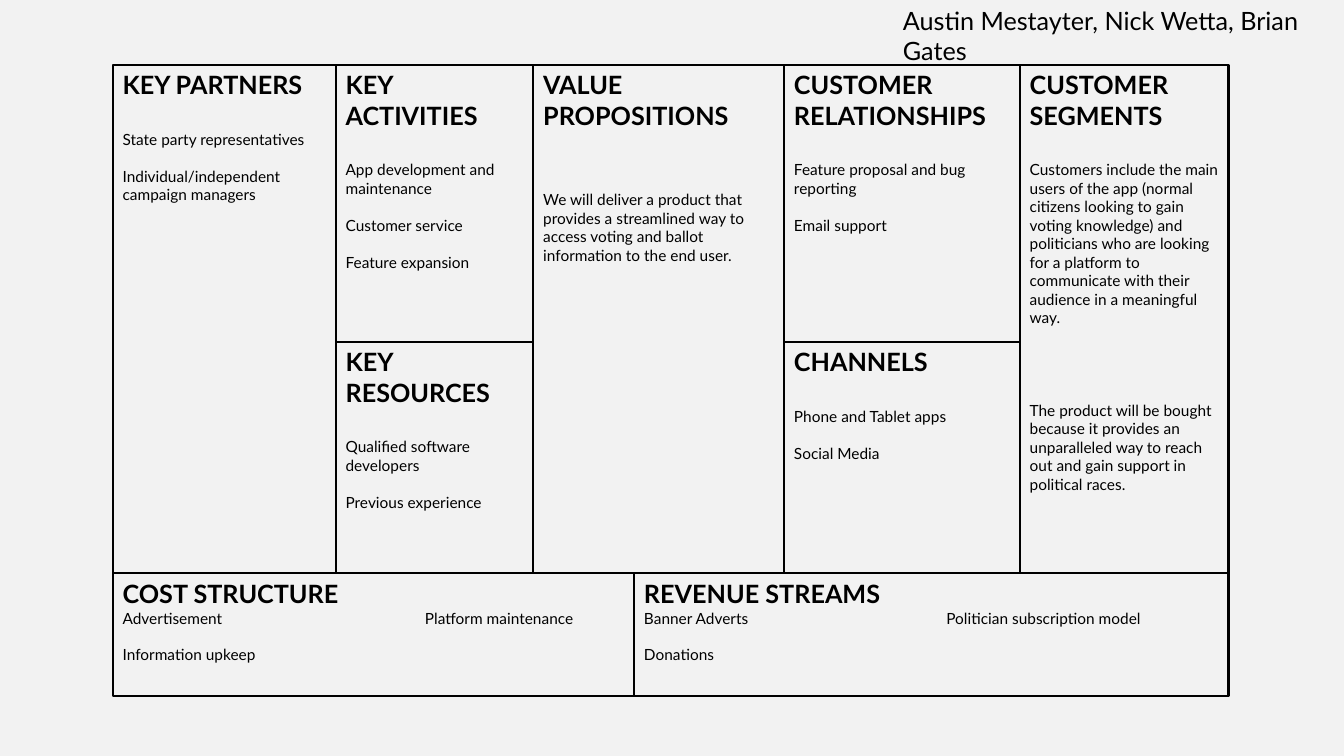
from lxml import etree
from pptx import Presentation
from pptx.dml.color import RGBColor
from pptx.enum.shapes import MSO_SHAPE
from pptx.enum.text import MSO_ANCHOR, MSO_AUTO_SIZE, PP_ALIGN
from pptx.oxml.ns import qn
from pptx.util import Cm, Pt

RECT = MSO_SHAPE.RECTANGLE
TOP = MSO_ANCHOR.TOP
LEFT = PP_ALIGN.LEFT
FIXED = MSO_AUTO_SIZE.NONE

FONT = "Lato"
COLORS = {"back": "F2F2F2", "ink": "000000"}
HEAD, BODY = 18, 11
ROW, LINE = HEAD * 1.2, BODY * 1.2  # heights of one heading and one body line

# Grid edges in cm
COLS = [2.84, 8.46, 13.44, 19.76, 25.7, 30.96]
TIERS = [1.63, 8.61, 14.45, 17.53]
SPLIT = 15.98


def color(name):
    return RGBColor.from_string(COLORS[name])


def style(para, size, bold=False, gap=0):
    para.alignment = LEFT
    para.line_spacing = 1.0
    para.space_before = Pt(gap)
    para.space_after = Pt(0)
    font = para.font
    font.name, font.size, font.bold = FONT, Pt(size), bold
    font.color.rgb = color("ink")


def set_tab(para, pos):
    props = para._p.get_or_add_pPr()
    tabs = etree.SubElement(props, qn("a:tabLst"))
    etree.SubElement(tabs, qn("a:tab"), pos=str(pos), algn="l")
    rest = props.find(qn("a:defRPr"))
    if rest is not None:
        rest.addprevious(tabs)


def add_names(slide, box, text):
    title = slide.shapes.title
    title.left, title.top, title.width, title.height = map(Cm, box)
    frame = title.text_frame
    frame.word_wrap, frame.auto_size = True, FIXED
    frame.vertical_anchor = TOP
    frame.text = text
    style(frame.paragraphs[0], HEAD)


def add_cell(slide, box, head, items, lead=ROW, gap=LINE):
    """Draw a framed cell: heading lines, then items set apart by gap."""
    cell = slide.shapes.add_shape(RECT, *map(Cm, box))
    cell.shadow.inherit = False
    cell.fill.background()
    cell.line.color.rgb = color("ink")
    cell.line.width = Pt(1.5)
    frame = cell.text_frame
    frame.word_wrap = True
    frame.vertical_anchor = TOP
    frame.text = "\n".join(head + items)
    for i, para in enumerate(frame.paragraphs):
        spot = i - len(head)
        if spot < 0:
            style(para, HEAD, bold=True)
        else:
            style(para, BODY, gap=gap if spot else lead)
        if "\t" in para.text:
            set_tab(para, Cm(7.62))


def span(left, right, top, low):
    return left, TIERS[top], right - left, TIERS[low] - TIERS[top]


def add_canvas(slide):
    def col(i, top, low):
        return span(COLS[i], COLS[i + 1], top, low)

    # Upper columns
    add_cell(slide, col(0, 0, 2), ["KEY PARTNERS"], [
        "State party representatives",
        "Individual/independent campaign managers"])
    add_cell(slide, col(1, 0, 1), ["KEY ACTIVITIES"], [
        "App development and maintenance", "Customer service",
        "Feature expansion"])
    add_cell(slide, col(1, 1, 2), ["KEY RESOURCES"], [
        "Qualified software developers", "Previous experience"])
    add_cell(slide, col(2, 0, 2), ["VALUE PROPOSITIONS"], [
        "We will deliver a product that provides a streamlined way to "
        "access voting and ballot information to the end user."],
        lead=2 * ROW)
    add_cell(slide, col(3, 0, 1), ["CUSTOMER", "RELATIONSHIPS"], [
        "Feature proposal and bug reporting", "Email support"])
    add_cell(slide, col(3, 1, 2), ["CHANNELS"], [
        "Phone and Tablet apps", "Social Media"])
    add_cell(slide, col(4, 0, 2), ["CUSTOMER", "SEGMENTS"], [
        "Customers include the main users of the app (normal citizens "
        "looking to gain voting knowledge) and politicians who are looking "
        "for a platform to communicate with their audience in a meaningful "
        "way.",
        "The product will be bought because it provides an unparalleled way "
        "to reach out and gain support in political races."],
        gap=4 * LINE)
    # Bottom row
    add_cell(slide, span(COLS[0], SPLIT, 2, 3), ["COST STRUCTURE"], [
        "Advertisement\tPlatform maintenance", "Information upkeep"], lead=0)
    add_cell(slide, span(SPLIT, COLS[-1], 2, 3), ["REVENUE STREAMS"], [
        "Banner Adverts\tPolitician subscription model", "Donations"], lead=0)


deck = Presentation()
deck.slide_width, deck.slide_height = Cm(33.87), Cm(19.05)
page = deck.slides.add_slide(deck.slide_layouts.get_by_name("Title Only"))
page.background.fill.solid()
page.background.fill.fore_color.rgb = color("back")
add_names(page, (22.5, 0, 11.35, 1.63),
          "Austin Mestayter, Nick Wetta, Brian Gates")
add_canvas(page)
deck.save("out.pptx")
